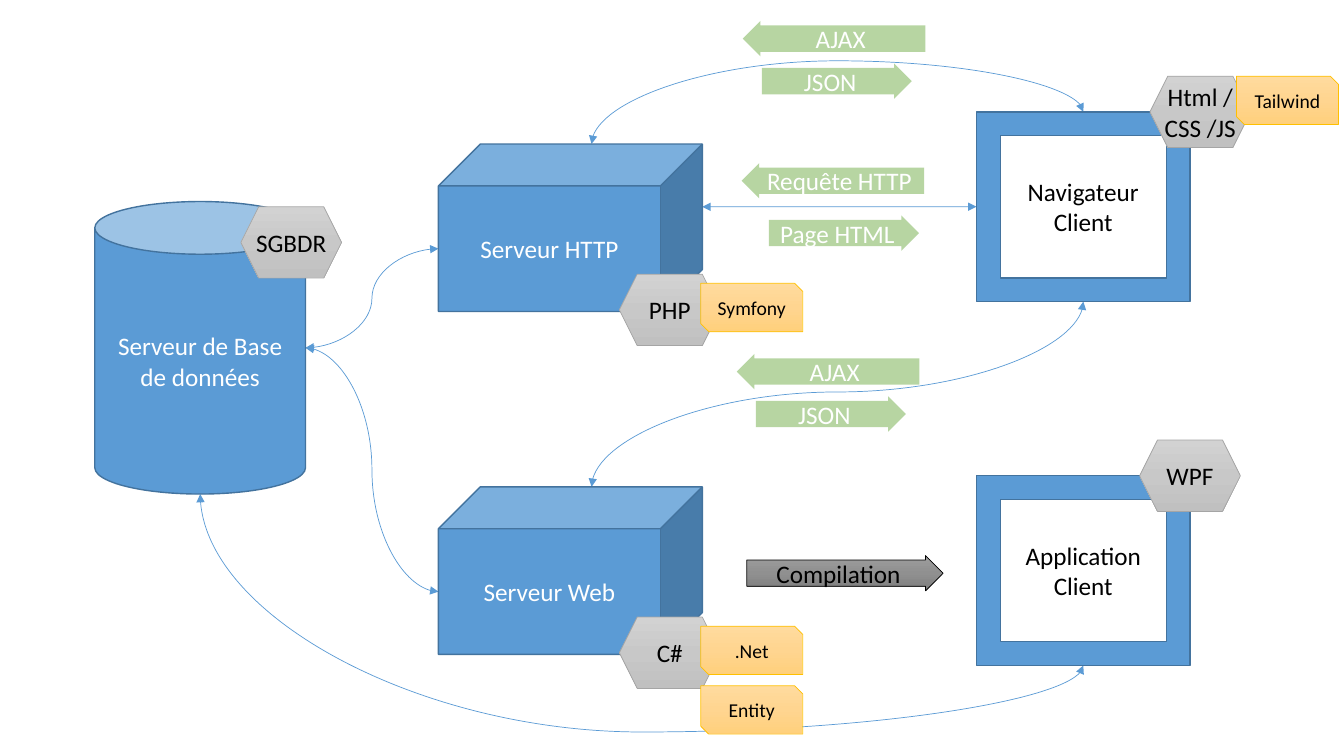
import collections
import copy

import pptx
import pptx.dml.color
import pptx.enum.shapes
import pptx.enum.text
import pptx.oxml
import pptx.oxml.ns
import pptx.util

Cm, Pt, qn = pptx.util.Cm, pptx.util.Pt, pptx.oxml.ns.qn
SHAPE = pptx.enum.shapes.MSO_SHAPE
Box = collections.namedtuple("Box", "x y w h")

BLUE, BLUE_EDGE, GREEN = "5B9BD5", "43739E", "70AD47"
GREY = ("D2D2D2", "C8C8C8", "C0C0C0")
DARK_GREY = ("9D9D9D", "909090", "7C7C7C")
ORANGE = ("FFDB9E", "FFD590", "FFD07C")

DATABASE = Box(2.39, 5.08, 5.31, 7.37)
WEB_SERVER = Box(11.05, 3.63, 6.65, 4.22)
APP_SERVER = WEB_SERVER._replace(y=12.27)
BROWSER = Box(24.61, 2.82, 5.38, 4.78)
DESKTOP_APP = BROWSER._replace(y=11.99)


def rgb(value):
    return pptx.dml.color.RGBColor.from_string(value)


def write(sp, text, size=18, color="FFFFFF", inset=None):
    tf = sp.text_frame
    tf.word_wrap = True
    tf.vertical_anchor = pptx.enum.text.MSO_ANCHOR.MIDDLE
    if inset is not None:
        tf.margin_left = tf.margin_right = tf.margin_top = tf.margin_bottom = Cm(inset)
    p = tf.paragraphs[0]
    p.alignment = pptx.enum.text.PP_ALIGN.CENTER
    r = p.add_run()
    r.text = text
    r.font.name, r.font.size = "Calibri", Pt(size)
    r.font.color.rgb = rgb(color)


def paint(sp, fill):
    """Fill with one colour, or with three as a vertical gradient."""
    if isinstance(fill, str):
        sp.fill.solid()
        sp.fill.fore_color.rgb = rgb(fill)
        return
    sp.fill.gradient()
    sp.fill.gradient_angle = 270
    stop = sp._element.spPr.find(".//" + qn("a:gs"))
    stop.addnext(copy.deepcopy(stop))
    for i, (stop, color) in enumerate(zip(sp.fill.gradient_stops, fill)):
        stop.color.rgb = rgb(color)
        stop.position = i / 2


def draw(s, kind, box, fill, line=None, width=1):
    sp = s.shapes.add_shape(kind, *(Cm(v) for v in box))
    sp.shadow.inherit = False
    paint(sp, fill)
    if line:
        sp.line.color.rgb = rgb(line)
        sp.line.width = Pt(width)
    else:
        sp.line.fill.background()
    return sp


def badge(s, x, y, text):
    sp = draw(s, SHAPE.HEXAGON, Box(x, y, 2.54, 1.8), GREY, "A5A5A5", 0.5)
    write(sp, text, color="000000", inset=0)


def tag(s, x, y, text):
    sp = draw(s, SHAPE.SNIP_2_DIAG_RECTANGLE, Box(x, y, 2.57, 1.22), ORANGE, "FFC000", 0.5)
    write(sp, text, size=14, color="000000", inset=0)


def arrow(s, box, text, fill=GREEN, line=None, color="FFFFFF", flip=False):
    sp = draw(s, SHAPE.RIGHT_ARROW, box, fill, line, 0.5)
    sp.adjustments[0] = 0.744
    if flip:
        sp._element.spPr.find(qn("a:xfrm")).set("flipH", "1")
    write(sp, text, color=color)
    return sp


def site(box, fx, fy):
    """Point at the given fractions of a box."""
    return box.x + fx * box.w, box.y + fy * box.h


def curve(s, start, end, bend=0.5, upright=False):
    """Two-headed curve; an upright one leaves and arrives vertically."""
    (x1, y1), (x2, y2) = start, end
    if upright:  # turned a quarter about its centre
        cx, cy, dx, dy = (x1 + x2) / 2, (y1 + y2) / 2, (x2 - x1) / 2, (y2 - y1) / 2
        x1, y1, x2, y2 = cx - dy, cy + dx, cx + dy, cy - dx
    kind = pptx.enum.shapes.MSO_CONNECTOR.CURVE
    c = s.shapes.add_connector(kind, Cm(x1), Cm(y1), Cm(x2), Cm(y2))
    c.line.color.rgb = rgb(BLUE)
    c.line.width = Pt(0.5)
    spPr = c._element.spPr
    if upright:
        spPr.find(qn("a:xfrm")).set("rot", "5400000")
    guides = spPr.find(qn("a:prstGeom")).get_or_add_avLst()
    guide = guides.makeelement(qn("a:gd"), {"name": "adj1", "fmla": f"val {round(bend * 100000)}"})
    guides.append(guide)
    ln = c.line._get_or_add_ln()
    for end_name in ("a:headEnd", "a:tailEnd"):
        ln.append(ln.makeelement(qn(end_name), {"type": "triangle"}))
    spPr.append(spPr.makeelement(qn("a:effectLst"), {}))


def database(s, box, name, engine):
    write(draw(s, SHAPE.CAN, box, BLUE, BLUE_EDGE), name)
    badge(s, box.x + 3.68, box.y + 0.13, engine)


def server(s, box, name, language, frameworks):
    write(draw(s, SHAPE.CUBE, box, BLUE, BLUE_EDGE), name)
    badge(s, box.x + 4.56, box.y + 3.28, language)
    for i, framework in enumerate(frameworks):
        tag(s, box.x + 6.61, box.y + 3.51 + 1.5 * i, framework)


def client(s, box, name, technology, badge_dx, framework=None):
    write(draw(s, SHAPE.FRAME, box, BLUE, BLUE_EDGE), name, color="000000")
    badge(s, box.x + badge_dx, box.y - 0.9, technology)
    if framework:
        tag(s, box.x + 6.55, box.y - 0.9, framework)


def exchange(s, x, y, request, response, dx=0.48, dy=1.07):
    """Request arrow to the left above a response arrow to the right."""
    arrows = (arrow(s, Box(x, y, 4.6, 0.89), request, flip=True),
              arrow(s, Box(x + dx, y + dy, 3.78, 0.89), response))
    for sp in arrows:
        color = sp._element.spPr.find(qn("a:solidFill"))[0]
        color.append(color.makeelement(qn("a:alpha"), {"val": "50000"}))


def links(s):
    for box in (APP_SERVER, WEB_SERVER):
        curve(s, site(DATABASE, 1, 0.5), site(box, 0, 0.625))
    curve(s, site(WEB_SERVER, 1, 0.375), site(BROWSER, 0, 0.5))
    curve(s, site(APP_SERVER, 0.58, 0), site(BROWSER, 0.5, 1), 0.512, upright=True)
    curve(s, site(WEB_SERVER, 0.58, 0), site(BROWSER, 0.5, 0), 2.588, upright=True)
    curve(s, site(DATABASE, 0.5, 1), site(DESKTOP_APP, 0.5, 1), 1.388, upright=True)


def main():
    prs = pptx.Presentation()
    prs.slide_width, prs.slide_height = Cm(33.87), Cm(19.05)
    s = prs.slides.add_slide(prs.slide_layouts[6])

    # Links lie behind the machines
    links(s)

    # Machines, from left to right
    database(s, DATABASE, "Serveur de Base de données", "SGBDR")
    server(s, WEB_SERVER, "Serveur HTTP", "PHP", ["Symfony"])
    server(s, APP_SERVER, "Serveur Web", "C#", [".Net", "Entity"])
    client(s, BROWSER, "Navigateur Client", "Html / CSS /JS", 4.37, "Tailwind")
    client(s, DESKTOP_APP, "Application Client", "WPF", 4.11)

    # Messages between servers and clients
    exchange(s, 18.72, 0.53, "AJAX", "JSON")
    exchange(s, 18.69, 4.11, "Requête HTTP", "Page HTML", dx=0.69, dy=1.32)
    exchange(s, 18.57, 8.92, "AJAX", "JSON")
    arrow(s, Box(18.82, 14, 4.95, 0.89), "Compilation", DARK_GREY, "000000", "000000")

    prs.save("out.pptx")


if __name__ == "__main__":
    main()
